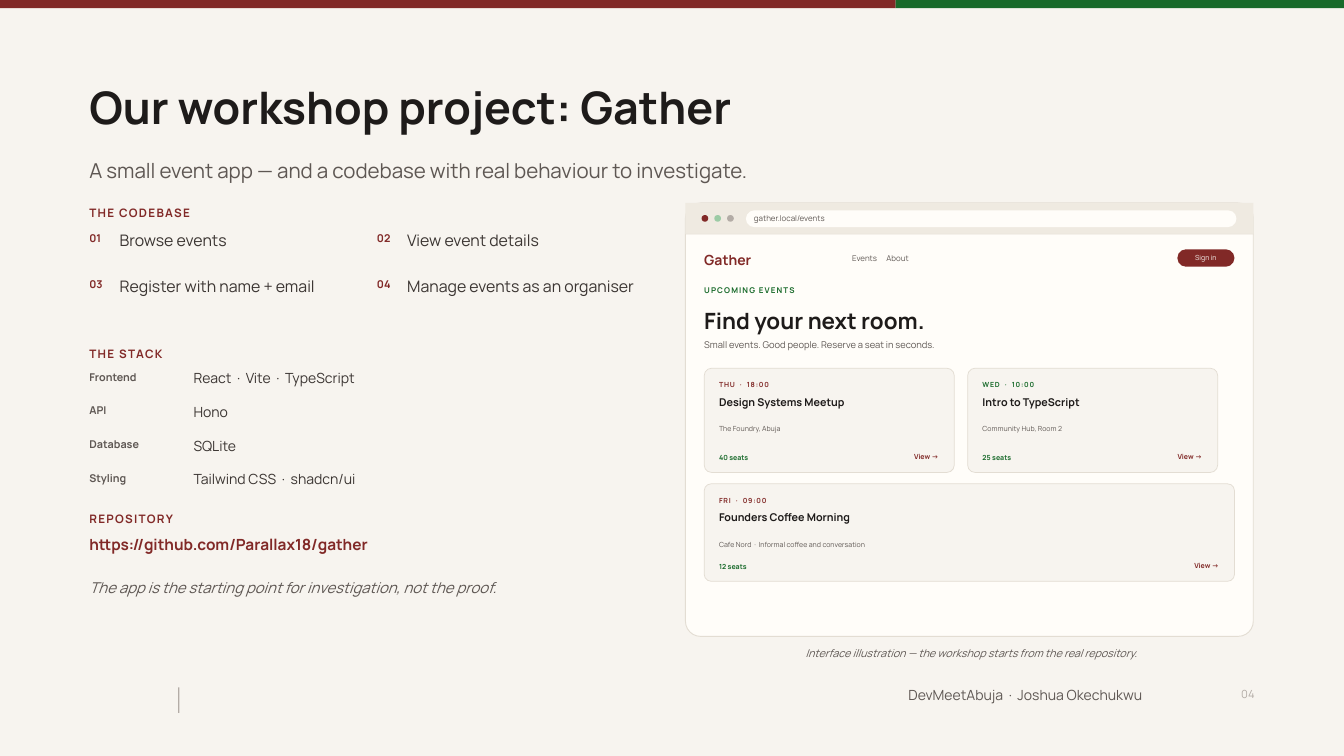
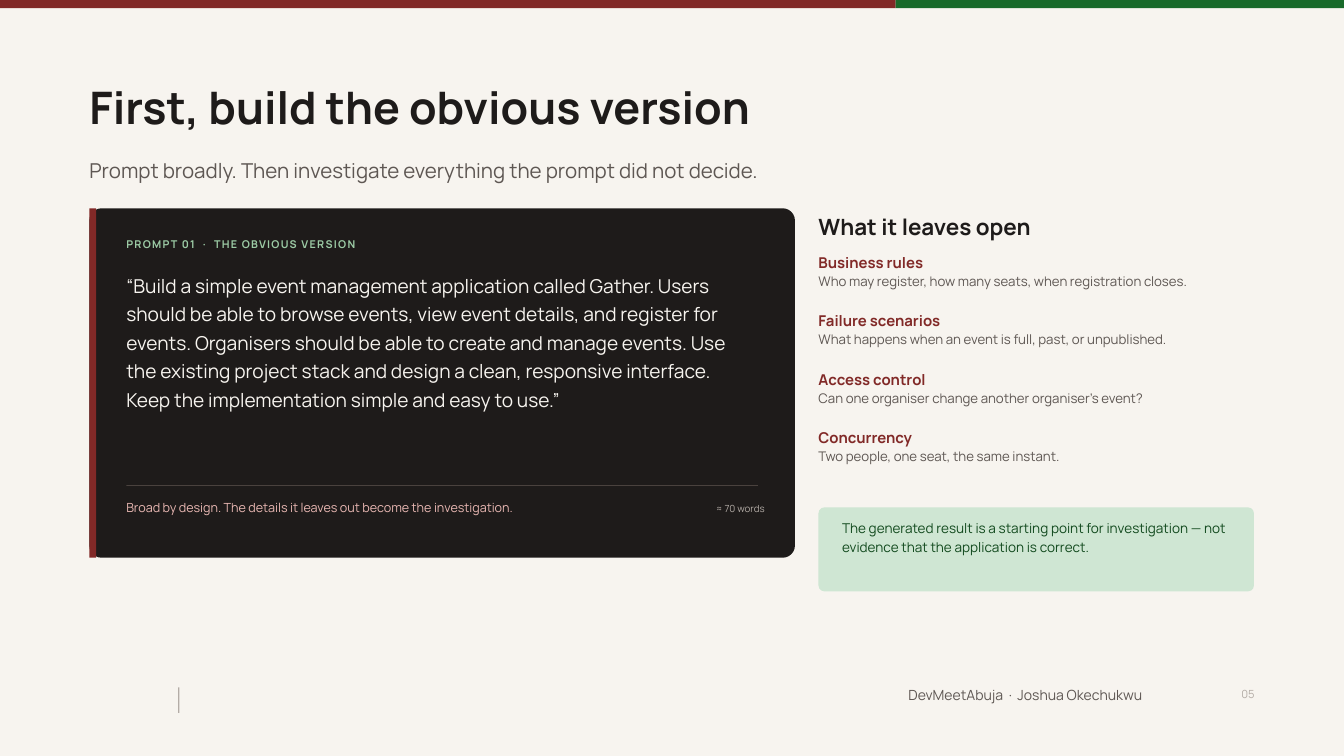
from dataclasses import dataclass

from pptx import Presentation
from pptx.dml.color import RGBColor
from pptx.enum.shapes import MSO_SHAPE
from pptx.enum.text import PP_ALIGN
from pptx.util import Inches, Pt

PAPER = RGBColor(0xF7, 0xF4, 0xEF)
WHITE = RGBColor(0xFF, 0xFD, 0xF9)
TOOLBAR = RGBColor(0xEF, 0xEA, 0xE1)
BORDER = RGBColor(0xE3, 0xDD, 0xD3)
INK = RGBColor(0x1E, 0x1B, 0x1A)
BODY = RGBColor(0x3B, 0x35, 0x32)
MUTED = RGBColor(0x5E, 0x57, 0x53)
FAINT = RGBColor(0xB3, 0xAC, 0xA6)
RULE = RGBColor(0x4A, 0x42, 0x3E)
RED = RGBColor(0x81, 0x29, 0x27)
PINK = RGBColor(0xE8, 0xB7, 0xB2)
GREEN = RGBColor(0x18, 0x6A, 0x2A)
MINT = RGBColor(0x9C, 0xCB, 0xA5)
PALE_GREEN = RGBColor(0xCF, 0xE6, 0xD3)
DARK_GREEN = RGBColor(0x12, 0x4A, 0x1E)

FONT = "Manrope"
MARGIN = 1.33


@dataclass
class Box:
    """A rectangle in inches."""
    left: float
    top: float
    width: float
    height: float

    def inner(self, left, top, width, height):
        """Return a box placed from this box's top left corner."""
        return Box(self.left + left, self.top + top, width, height)

    def lengths(self):
        """Return the four lengths for python-pptx."""
        return [Inches(value) for value in (self.left, self.top, self.width, self.height)]


def text_format(size, color, leading=None, tracking=0, align=PP_ALIGN.LEFT, **font):
    """Return the format values of one text style."""
    return {
        "color": color,
        "tracking": tracking,
        "paragraph": {"alignment": align, "line_spacing": Pt(leading or round(size * 1.42, 1))},
        "font": {"name": FONT, "size": Pt(size), **font},
    }


def seat_format(color, **values):
    """Return the small bold style used in event cards."""
    return text_format(7.5, color, bold=True, **values)


FORMATS = {
    "title": text_format(48, INK, 52.8, bold=True),
    "subtitle": text_format(22, MUTED),
    "footer": text_format(15, MUTED, align=PP_ALIGN.RIGHT),
    "page number": text_format(12, FAINT, align=PP_ALIGN.RIGHT),
    "label": text_format(12.5, RED, tracking=1.4, bold=True),
    "number": text_format(11.5, RED, bold=True),
    "feature": text_format(17, BODY),
    "layer": text_format(11.5, MUTED, bold=True),
    "tools": text_format(15, BODY),
    "link": text_format(16.5, RED, 24, bold=True),
    "remark": text_format(16, MUTED, 24, italic=True),
    "caption": text_format(11.5, MUTED, align=PP_ALIGN.CENTER, italic=True),
    "navigation": text_format(8.5, MUTED),
    "app name": text_format(15, RED, bold=True),
    "button": text_format(7.5, PAPER, align=PP_ALIGN.CENTER),
    "section": text_format(8.5, GREEN, tracking=1.2, bold=True),
    "heading": text_format(24, INK, bold=True),
    "tagline": text_format(10, MUTED),
    "red date": seat_format(RED, tracking=0.8),
    "green date": seat_format(GREEN, tracking=0.8),
    "event": text_format(11.5, INK, 14, bold=True),
    "place": text_format(7.5, MUTED),
    "seats": seat_format(GREEN),
    "view": seat_format(RED, align=PP_ALIGN.RIGHT),
    "prompt label": text_format(11.5, MINT, tracking=1.4, bold=True),
    "prompt": text_format(20.5, PAPER, 30.5),
    "prompt remark": text_format(13.5, PINK, 19),
    "word count": text_format(10.5, FAINT, align=PP_ALIGN.RIGHT),
    "topic": text_format(16, RED, bold=True),
    "question": text_format(14.2, MUTED, 20),
    "callout": text_format(14.5, DARK_GREEN, 20.5),
}


def set_values(target, values):
    """Set attributes from a dict."""
    for name, value in values.items():
        setattr(target, name, value)


def add_text(page, box, words, style):
    """Add a text box in a named style."""
    look = FORMATS[style]
    frame = page.shapes.add_textbox(*box.lengths()).text_frame
    sides = ("margin_left", "margin_top", "margin_right", "margin_bottom")
    set_values(frame, {"word_wrap": True, **dict.fromkeys(sides, 0)})
    para = frame.paragraphs[0]
    set_values(para, look["paragraph"])
    span = para.add_run()
    span.text = words
    set_values(span.font, look["font"])
    span.font.color.rgb = look["color"]
    if look["tracking"]:
        span.font._element.set("spc", str(round(look["tracking"] * 100)))


def add_panel(page, box, fill, kind=MSO_SHAPE.RECTANGLE, corner=None, line=None):
    """Add a filled shape, outlined in the border colour if a line width is given."""
    shape = page.shapes.add_shape(kind, *box.lengths())
    shape.shadow.inherit = False
    shape.fill.solid()
    shape.fill.fore_color.rgb = fill
    if corner is not None:
        shape.adjustments[0] = corner
    if line:
        shape.line.color.rgb = BORDER
        shape.line.width = Pt(line)
    else:
        shape.line.fill.background()


def add_rounded(page, box, fill, corner, line=None):
    """Add a panel with rounded corners."""
    add_panel(page, box, fill, MSO_SHAPE.ROUNDED_RECTANGLE, corner, line)


def add_page(deck, number, title, subtitle):
    """Add a page with the shared band, title and footer."""
    page = deck.slides.add_slide(deck.slide_layouts[6])
    page.background.fill.solid()
    page.background.fill.fore_color.rgb = PAPER
    add_panel(page, Box(0, 0, 13.33, 0.12), RED)
    add_panel(page, Box(13.33, 0, 6.67, 0.12), GREEN)
    add_text(page, Box(MARGIN, 1.25, 17.33, 0.95), title, "title")
    add_text(page, Box(MARGIN, 2.28, 17.33, 0.6), subtitle, "subtitle")
    add_panel(page, Box(2.65, 10.23, 0.02, 0.38), FAINT)
    add_text(page, Box(11.4, 10.17, 5.6, 0.38), "DevMeetAbuja  ·  Joshua Okechukwu", "footer")
    add_text(page, Box(18.05, 10.19, 0.62, 0.34), f"{number:02}", "page number")
    return page


def add_codebase(page, box):
    """List the features in a two-column grid."""
    add_text(page, box.inner(0, 0, box.width, 0.3), "THE CODEBASE", "label")
    features = ("Browse events", "View event details",
                "Register with name + email", "Manage events as an organiser")
    for index, feature in enumerate(features):
        row, column = divmod(index, 2)
        cell = box.inner(column * 4.28, 0.36 + row * 0.68, 4.15, 0.8)
        add_text(page, cell.inner(0, 0.04, 0.4, 0.3), f"{index + 1:02}", "number")
        add_text(page, cell.inner(0.45, 0, 3.7, 0.8), feature, "feature")


def add_stack(page, box):
    """List the layers of the stack with their tools."""
    add_text(page, box.inner(0, 0, box.width, 0.3), "THE STACK", "label")
    layers = {
        "Frontend": "React  ·  Vite  ·  TypeScript",
        "API": "Hono",
        "Database": "SQLite",
        "Styling": "Tailwind CSS  ·  shadcn/ui",
    }
    for index, (layer, tools) in enumerate(layers.items()):
        top = 0.34 + index * 0.5
        add_text(page, box.inner(0, top + 0.02, 1.45, 0.35), layer, "layer")
        add_text(page, box.inner(1.55, top, 6.7, 0.4), tools, "tools")


def add_repository(page, box):
    """Show the repository address and the closing remark."""
    add_text(page, box.inner(0, 0, box.width, 0.3), "REPOSITORY", "label")
    add_text(page, box.inner(0, 0.32, 8.4, 0.4), "https://github.com/Parallax18/gather", "link")
    add_text(page, box.inner(0, 0.97, 8.45, 0.7),
             "The app is the starting point for investigation, not the proof.", "remark")


def add_event_card(page, box, date, date_style, event, place, seats):
    """Draw one event card."""
    add_rounded(page, box, PAPER, 0.07, 0.8)
    add_text(page, box.inner(0.22, 0.16, box.width - 0.44, 0.22), date, date_style)
    add_text(page, box.inner(0.22, 0.4, box.width - 0.44, 0.45), event, "event")
    add_text(page, box.inner(0.22, 0.82, box.width - 0.6, 0.22), place, "place")
    add_text(page, box.inner(0.22, box.height - 0.3, 0.95, 0.2), seats, "seats")
    add_text(page, box.inner(box.width - 0.95, box.height - 0.32, 0.72, 0.22), "View →", "view")


def add_browser(page, box):
    """Draw the browser window with its toolbar."""
    add_rounded(page, box, WHITE, 0.035, 1)
    add_panel(page, box.inner(0, 0, box.width, 0.46), TOOLBAR)
    add_panel(page, box.inner(0, 0.46, box.width, 0.01), BORDER)
    for index, color in enumerate((RED, MINT, FAINT)):
        add_panel(page, box.inner(0.24 + index * 0.19, 0.18, 0.1, 0.1), color, MSO_SHAPE.OVAL)
    add_rounded(page, box.inner(0.9, 0.11, 7.3, 0.25), WHITE, 0.5)
    add_text(page, box.inner(1.02, 0.13, 7.1, 0.22), "gather.local/events", "navigation")


def add_event_app(page, box):
    """Fill the browser window with the event list."""
    add_text(page, box.inner(0, 0, 2, 0.3), "Gather", "app name")
    for index, entry in enumerate(("Events", "About")):
        add_text(page, box.inner(2.2 + index * 0.51, 0.04, 0.5, 0.25), entry, "navigation")
    add_rounded(page, box.inner(7.04, 0.01, 0.85, 0.26), RED, 0.5)
    add_text(page, box.inner(7.04, 0.05, 0.85, 0.2), "Sign in", "button")
    add_text(page, box.inner(0, 0.52, 4, 0.25), "UPCOMING EVENTS", "section")
    add_text(page, box.inner(0, 0.8, 6, 0.5), "Find your next room.", "heading")
    add_text(page, box.inner(0, 1.32, 6.9, 0.3),
             "Small events. Good people. Reserve a seat in seconds.", "tagline")
    add_event_card(page, box.inner(0, 1.78, 3.72, 1.55), "THU  ·  18:00", "red date",
                   "Design Systems Meetup", "The Foundry, Abuja", "40 seats")
    add_event_card(page, box.inner(3.92, 1.78, 3.72, 1.55), "WED  ·  10:00", "green date",
                   "Intro to TypeScript", "Community Hub, Room 2", "25 seats")
    add_event_card(page, box.inner(0, 3.5, box.width, 1.45), "FRI  ·  09:00", "red date",
                   "Founders Coffee Morning",
                   "Cafe Nord  ·  Informal coffee and conversation", "12 seats")


def add_prompt(page, box):
    """Show the prompt on a dark panel."""
    add_rounded(page, box, INK, 0.035)
    add_panel(page, box.inner(0, 0, 0.1, box.height), RED)
    add_text(page, box.inner(0.55, 0.4, 9.4, 0.3),
             "PROMPT 01  ·  THE OBVIOUS VERSION", "prompt label")
    add_text(page, box.inner(0.55, 0.9, 9.4, 3.3),
             "“Build a simple event management application called Gather. Users should be able "
             "to browse events, view event details, and register for events. Organisers should "
             "be able to create and manage events. Use the existing project stack and design a "
             "clean, responsive interface. Keep the implementation simple and easy to use.”",
             "prompt")
    add_panel(page, box.inner(0.55, 4.12, 9.4, 0.01), RULE)
    add_text(page, box.inner(0.55, 4.3, 8.2, 0.7),
             "Broad by design. The details it leaves out become the investigation.",
             "prompt remark")
    add_text(page, box.inner(8.95, 4.35, 1.1, 0.3), "≈ 70 words", "word count")


def add_open_questions(page, box):
    """List what the prompt leaves open."""
    add_text(page, box.inner(0, 0, box.width, 0.5), "What it leaves open", "heading")
    questions = {
        "Business rules": "Who may register, how many seats, when registration closes.",
        "Failure scenarios": "What happens when an event is full, past, or unpublished.",
        "Access control": "Can one organiser change another organiser’s event?",
        "Concurrency": "Two people, one seat, the same instant.",
    }
    for index, (topic, question) in enumerate(questions.items()):
        top = 0.62 + index * 0.87
        add_text(page, box.inner(0, top, box.width, 0.3), topic, "topic")
        add_text(page, box.inner(0, top + 0.3, box.width, 0.45), question, "question")


def add_callout(page, box):
    """Show the conclusion on a pale panel."""
    add_rounded(page, box, PALE_GREEN, 0.07)
    add_text(page, box.inner(0.35, 0.15, box.width - 0.7, 1),
             "The generated result is a starting point for investigation — not evidence that "
             "the application is correct.", "callout")


def add_project_page(deck):
    """Build the page that presents the workshop project."""
    page = add_page(deck, 4, "Our workshop project: Gather",
                    "A small event app — and a codebase with real behaviour to investigate.")
    add_codebase(page, Box(MARGIN, 3.02, 9.5, 1.84))
    add_stack(page, Box(MARGIN, 5.12, 9.5, 2.24))
    add_repository(page, Box(MARGIN, 7.58, 9.5, 1.67))
    add_browser(page, Box(10.2, 3.02, 8.45, 6.45))
    add_event_app(page, Box(10.48, 3.7, 7.89, 4.95))
    add_text(page, Box(10.23, 9.59, 8.45, 0.3),
             "Interface illustration — the workshop starts from the real repository.", "caption")


def add_prompt_page(deck):
    """Build the page about the first prompt."""
    page = add_page(deck, 5, "First, build the obvious version",
                    "Prompt broadly. Then investigate everything the prompt did not decide.")
    add_prompt(page, Box(MARGIN, 3.1, 10.5, 5.2))
    add_open_questions(page, Box(12.18, 3.1, 6.48, 3.98))
    add_callout(page, Box(12.18, 7.55, 6.48, 1.25))


def main():
    """Build and save the deck."""
    deck = Presentation()
    deck.slide_width, deck.slide_height = Inches(20), Inches(11.25)
    add_project_page(deck)
    add_prompt_page(deck)
    deck.save("out.pptx")


if __name__ == "__main__":
    main()
